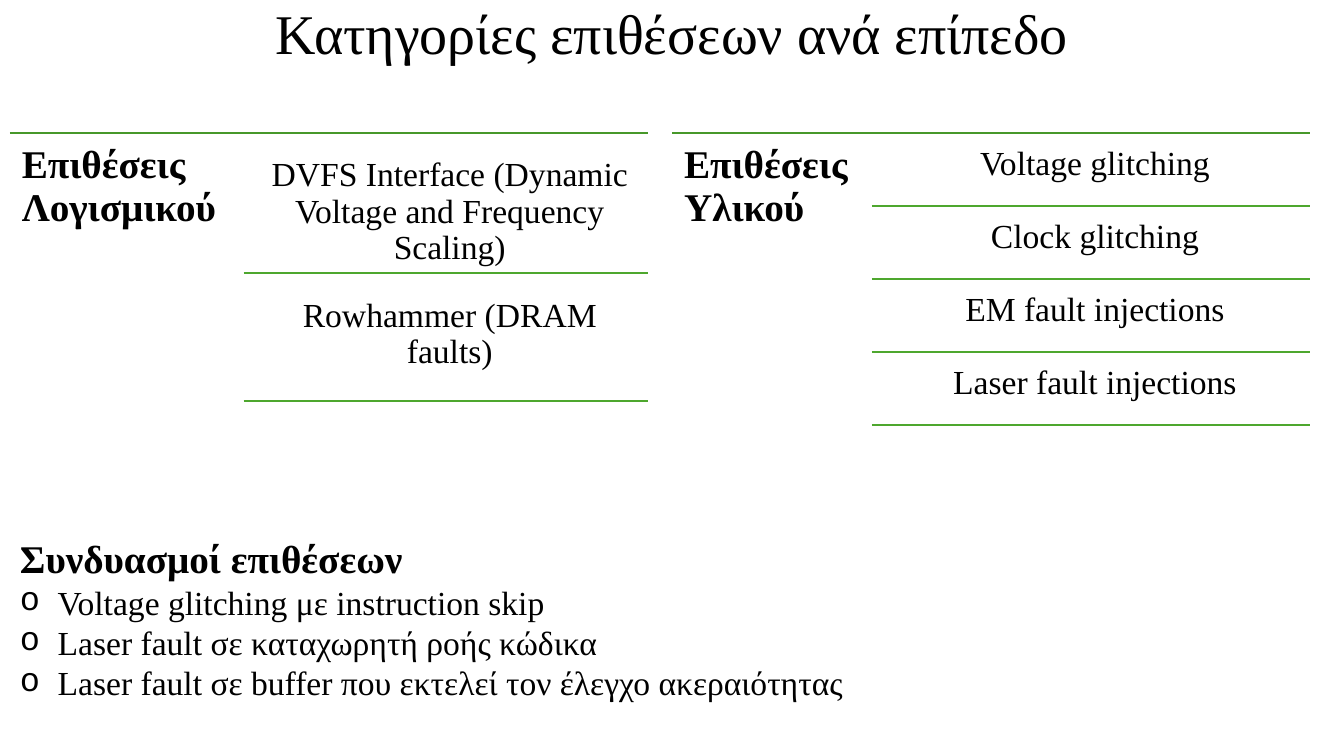
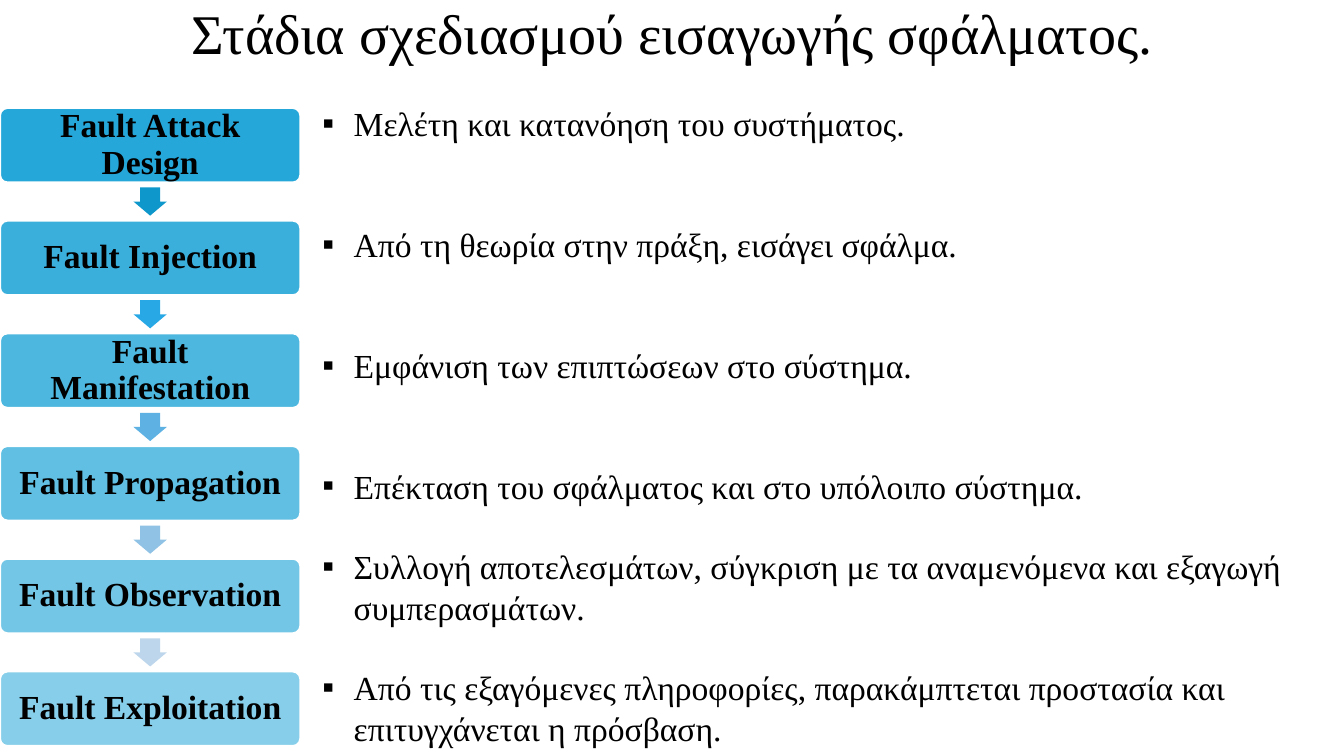
"""Build two slides on fault attacks: their categories and their design stages."""
from lxml.etree import SubElement as Sub
from pptx import Presentation
from pptx.dml.color import RGBColor as Rgb
from pptx.enum.shapes import MSO_CONNECTOR as Link, MSO_SHAPE as Form
from pptx.enum.text import MSO_ANCHOR as Anchor, MSO_AUTO_SIZE as Fit, PP_ALIGN as Align
from pptx.oxml.ns import qn
from pptx.util import Cm, Pt

FONT = "Times New Roman"
BLACK, WHITE, GREEN, DARK, BLUE = "000000", "FFFFFF", "4EA72E", "47982A", "0F9ED5"
BIG, HEAD, TEXT = 40, 28, 24

KINDS = [
    {"left": 0.25, "label": "Επιθέσεις Λογισμικού", "split": 5.89, "pad": 0.38,
     "rows": [("DVFS Interface (Dynamic Voltage and Frequency Scaling)", 3.53),
              ("Rowhammer (DRAM faults)", 3.23)]},
    {"left": 16.94, "label": "Επιθέσεις Υλικού", "split": 5.03, "pad": 0.1,
     "rows": [("Voltage glitching", 1.84), ("Clock glitching", 1.84),
              ("EM fault injections", 1.84), ("Laser fault injections", 1.84)]},
]
MIXES = ["Voltage glitching με instruction skip",
         "Laser fault σε καταχωρητή ροής κώδικα",
         "Laser fault σε buffer που εκτελεί τον έλεγχο ακεραιότητας"]
STEPS = ["Fault Attack Design", "Fault Injection", "Fault Manifestation",
         "Fault Propagation", "Fault Observation", "Fault Exploitation"]
TINTS = ["0E97CB", "28A8E5", "5EB2E3", "8FC2E5", "BDD6EB"]
NOTES = [("Μελέτη και κατανόηση του συστήματος.", 0),
         ("Από τη θεωρία στην πράξη, εισάγει σφάλμα.", 2),
         ("Εμφάνιση των επιπτώσεων στο σύστημα.", 2),
         ("Επέκταση του σφάλματος και στο υπόλοιπο σύστημα.", 2),
         ("Συλλογή αποτελεσμάτων, σύγκριση με τα αναμενόμενα και εξαγωγή συμπερασμάτων.", 1),
         ("Από τις εξαγόμενες πληροφορίες, παρακάμπτεται προστασία και "
          "επιτυγχάνεται η πρόσβαση.", 1)]


def hue(code):
    return Rgb.from_string(code)


def style(par, size, bold=False, align=Align.LEFT, pitch=0.9):
    par.alignment, par.line_spacing = align, pitch
    par.space_before = Pt(0)
    for run in par.runs:
        font = run.font
        font.name, font.size, font.bold = FONT, Pt(size), bold
        font.color.rgb = hue(BLACK)


def place(item, left, top, width, height):
    item.left, item.top, item.width, item.height = map(Cm, (left, top, width, height))


def inset(frame, gap):
    frame.word_wrap = True
    frame.margin_left = frame.margin_right = Cm(gap)
    frame.margin_top = frame.margin_bottom = Cm(gap)


def label(slide, text, area, gap, size, bold=False, align=Align.LEFT):
    frame = slide.shapes.add_textbox(*map(Cm, area)).text_frame
    inset(frame, gap)
    frame.text = text
    style(frame.paragraphs[0], size, bold, align)


def rule(slide, left, right, y, tint):
    line = slide.shapes.add_connector(Link.STRAIGHT, Cm(left), Cm(y), Cm(right), Cm(y))
    line.line.color.rgb, line.line.width = hue(tint), Pt(1.5)
    Sub(line.element.spPr, qn("a:effectLst"))


def shape(slide, form, area, tint):
    item = slide.shapes.add_shape(form, *map(Cm, area))
    item.shadow.inherit = False
    item.fill.solid()
    item.fill.fore_color.rgb = hue(tint)
    item.line.fill.background()
    return item


def bullet(par, sign=None, font=FONT, hang=0):
    props = par._p.get_or_add_pPr()
    props.set("marL", str(Cm(hang)))
    props.set("indent", str(-Cm(hang)))
    if sign:
        Sub(props, qn("a:buFont"), typeface=font)
        Sub(props, qn("a:buChar"), char=sign)
    else:
        Sub(props, qn("a:buNone"))


def start(deck, title, lines, area):
    slide = deck.slides.add_slide(deck.slide_layouts[1])
    head, body = slide.placeholders
    place(head, 2.33, 0.18, 29.21, 1.45)
    place(body, *area)
    head.text_frame.text = title
    body.text_frame.text = "\n".join(lines)
    for item in (head, body):
        item.text_frame.auto_size = Fit.NONE
    head.text_frame.vertical_anchor = Anchor.MIDDLE
    body.text_frame.vertical_anchor = Anchor.TOP
    style(head.text_frame.paragraphs[0], BIG, align=Align.CENTER)
    return slide, body.text_frame.paragraphs


def kinds(deck):
    slide, pars = start(deck, "Κατηγορίες επιθέσεων ανά επίπεδο",
                        ["Συνδυασμοί επιθέσεων", *MIXES], (0.25, 13.34, 28.6, 4.52))
    bullet(pars[0])
    style(pars[0], HEAD, True, pitch=1.0)
    for par in pars[1:]:
        bullet(par, "o", "Courier New", 0.95)
        style(par, TEXT, pitch=1.0)
    top, wide, shift = 3.35, 16.08, 0.2
    for kind in KINDS:
        left, split, pad = kind["left"], kind["split"], kind["pad"]
        right, mid, y = left + wide, left + split, top
        rule(slide, left, right, top, DARK)
        label(slide, kind["label"], (left, top, split, 7.44), 0.3, HEAD, True)
        for text, tall in kind["rows"]:
            area = (mid + shift, y + pad, wide - split - shift, tall - pad)
            label(slide, text, area, 0.25, TEXT, align=Align.CENTER)
            y += tall
            rule(slide, mid, right, y, GREEN)


def stages(deck):
    slide, pars = start(deck, "Στάδια σχεδιασμού εισαγωγής σφάλματος.",
                        [text for text, _ in NOTES], (7.87, 2.46, 25.63, 16.5))
    for par, (_, gap) in zip(pars, NOTES):
        bullet(par, "▪", hang=0.79)
        style(par, TEXT, pitch=1.0)
        par.space_before = Pt(28.8 * gap)
    top, step, wide, tall = 2.72, 2.84, 7.57, 1.88
    span, drop = 0.84, 0.71
    for i, text in enumerate(STEPS):
        y = top + i * step
        box = shape(slide, Form.ROUNDED_RECTANGLE, (0, y, wide, tall), BLUE)
        box.adjustments[0] = 0.1
        box.line.color.rgb, box.line.width = hue(WHITE), Pt(1.5)
        tint = box.element.spPr.find(qn("a:solidFill"))[0]
        Sub(tint, qn("a:alpha"), val=str((90 - 8 * i) * 1000))
        frame = box.text_frame
        inset(frame, 0.25)
        frame.vertical_anchor = Anchor.MIDDLE
        frame.text = text
        style(frame.paragraphs[0], TEXT, True, Align.CENTER)
    for i, tint in enumerate(TINTS):
        y = top + i * step + tall + (step - tall - drop) / 2
        arrow = shape(slide, Form.DOWN_ARROW, ((wide - span) / 2, y, span, drop), tint)
        arrow.adjustments[0], arrow.adjustments[1] = 0.6, 0.5


def main():
    deck = Presentation()
    deck.slide_width, deck.slide_height = Cm(33.87), Cm(19.05)
    kinds(deck)
    stages(deck)
    deck.save("out.pptx")


if __name__ == "__main__":
    main()
